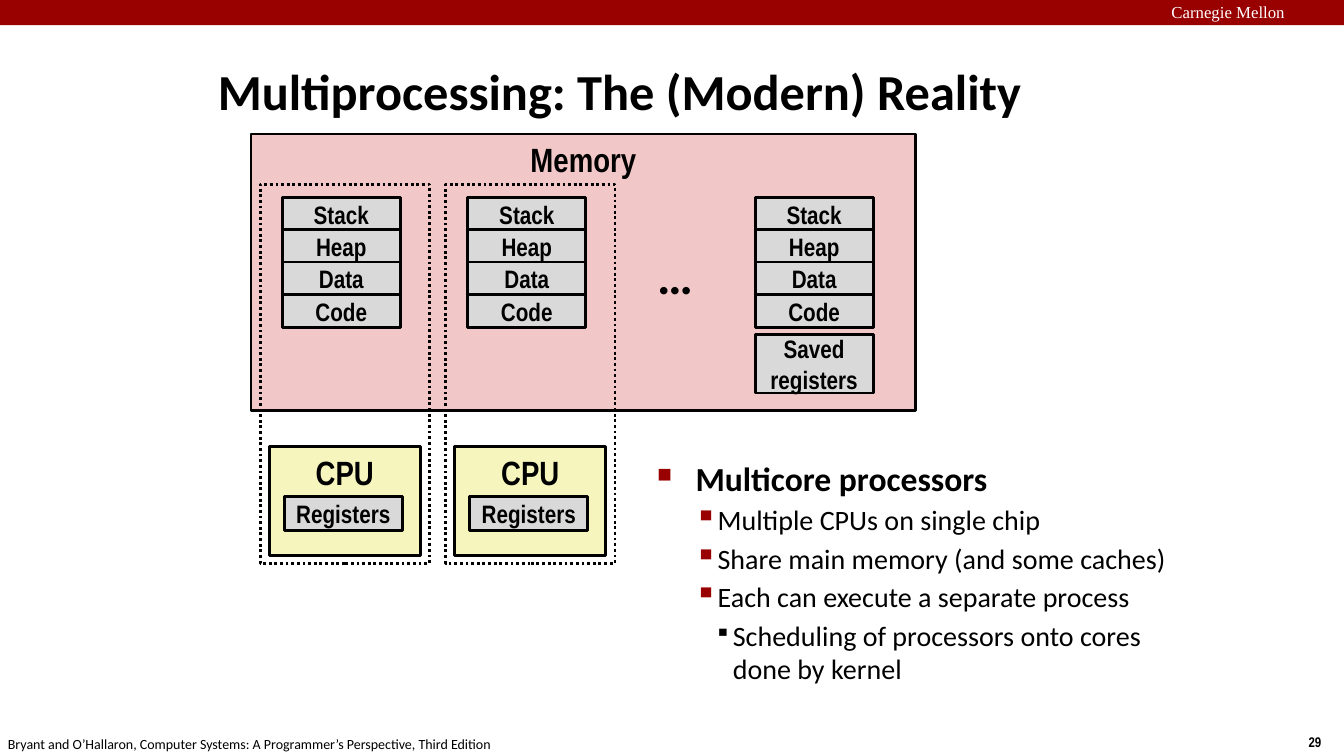
from lxml import etree
from pptx import Presentation
from pptx import util as u
from pptx.dml.color import RGBColor
from pptx.enum import dml, shapes, text
from pptx.oxml import ns

BLACK, RED, GREY = "000000", "990000", "D9D9D9"
SEGMENTS = ["Stack", "Heap", "Data", "Code"]
SEGMENT_WIDTH, SEGMENT_HEIGHT, SEGMENT_PITCH = 1.17, 0.33, 0.32
LEVELS = [
    {"margin": 0.38, "hang": 0.38, "mark": "■", "percent": 60, "color": RED, "size": 24, "bold": True},
    {"margin": 0.57, "hang": 0.2, "mark": "▪", "percent": 110, "color": RED, "size": 20, "bold": False},
    {"margin": 0.75, "hang": 0.18, "mark": "▪", "percent": 80, "color": BLACK, "size": 20, "bold": False},
]
BULLETS = [
    (0, "Multicore processors"),
    (1, "Multiple CPUs on single chip"),
    (1, "Share main memory (and some caches)"),
    (1, "Each can execute a separate process"),
    (2, "Scheduling of processors onto cores done by kernel"),
]


def rgb(color):
    return RGBColor.from_string(color)


def inches(*lengths):
    return [u.Inches(length) for length in lengths]


def format_font(font, name, size, bold=False, color=BLACK):
    for key, value in {"name": name, "size": u.Pt(size), "bold": bold}.items():
        setattr(font, key, value)
    font.color.rgb = rgb(color)


def add_rectangle(slide, box, fill=None, outline=BLACK):
    shape = slide.shapes.add_shape(shapes.MSO_SHAPE.RECTANGLE, *inches(*box))
    shape.shadow.inherit = False
    if fill:
        shape.fill.solid()
        shape.fill.fore_color.rgb = rgb(fill)
    else:
        shape.fill.background()
    if outline:
        shape.line.color.rgb = rgb(outline)
        shape.line.width = u.Pt(2)
    else:
        shape.line.fill.background()
    return shape


def add_block(slide, box, label, fill=GREY, size=18, anchor=text.MSO_ANCHOR.MIDDLE):
    shape = add_rectangle(slide, box, fill)
    shape.text_frame.word_wrap = True
    shape.text_frame.vertical_anchor = anchor
    paragraph = shape.text_frame.paragraphs[0]
    paragraph.text = label
    paragraph.alignment = text.PP_ALIGN.CENTER
    format_font(paragraph.font, "Arial Narrow", size, True)


def add_label(slide, box, label, wrap=False, **font):
    frame = slide.shapes.add_textbox(*inches(*box)).text_frame
    frame.word_wrap = wrap
    paragraph = frame.paragraphs[0]
    paragraph.text = label
    format_font(paragraph.font, **font)


def add_frame(slide, width, height):
    add_rectangle(slide, (0, 0, width, 0.25), RED, None)
    add_label(slide, (width - 1.81, -0.03, 1.91, 0.3), "Carnegie Mellon", True,
              name="Times New Roman", size=12, color="FFFFFF")
    add_label(slide, (width - 0.45, height - 0.27, 0.34, 0.27), "29",
              name="Arial Narrow", size=10, bold=True)
    add_label(slide, (-0.02, height - 0.25, 5.08, 0.27),
              "Bryant and O’Hallaron, Computer Systems: A Programmer’s Perspective, Third Edition",
              name="Calibri", size=10)


def add_title(slide, box):
    title = slide.shapes.title
    title.left, title.top, title.width, title.height = inches(*box)
    title.text_frame.vertical_anchor = text.MSO_ANCHOR.MIDDLE
    paragraph = title.text_frame.paragraphs[0]
    paragraph.text = "Multiprocessing: The (Modern) Reality"
    paragraph.alignment = text.PP_ALIGN.LEFT
    format_font(paragraph.font, "Calibri", 36, True)


def add_segments(slide, left, top):
    for row, label in enumerate(SEGMENTS):
        add_block(slide, (left, top + row * SEGMENT_PITCH, SEGMENT_WIDTH, SEGMENT_HEIGHT), label)


def add_active_process(slide, box):
    left, top, width, height = box
    add_segments(slide, left + 0.22, top + 0.13)
    add_block(slide, (left + 0.09, top + 2.6, 1.5, 1.08), "CPU", "F6F5BD", 24, text.MSO_ANCHOR.TOP)
    add_block(slide, (left + 0.24, top + 3.1, SEGMENT_WIDTH, SEGMENT_HEIGHT), "Registers")
    border = add_rectangle(slide, box)
    border.line.dash_style = dml.MSO_LINE.ROUND_DOT


def add_memory(slide, box):
    left, top, width, height = box
    add_block(slide, box, "Memory", "F1C7C7", 24, text.MSO_ANCHOR.TOP)
    for column in range(2):
        add_active_process(slide, (left + 0.09 + column * 1.84, top + 0.5, 1.68, 3.76))
    add_label(slide, (left + 3.93, top + 1.04, 0.56, 0.71), "…", name="Calibri", size=36, bold=True)
    add_segments(slide, left + 5, top + 0.63)
    add_block(slide, (left + 5, top + 1.99, SEGMENT_WIDTH, 0.58), "Saved registers")


def add_bullet(paragraph, level):
    properties = paragraph._p.get_or_add_pPr()
    properties.set("marL", str(u.Inches(level["margin"])))
    properties.set("indent", str(-u.Inches(level["hang"])))
    color = etree.SubElement(properties, ns.qn("a:buClr"))
    etree.SubElement(color, ns.qn("a:srgbClr"), val=level["color"])
    etree.SubElement(properties, ns.qn("a:buSzPct"), val=str(level["percent"] * 1000))
    etree.SubElement(properties, ns.qn("a:buChar"), char=level["mark"])


def add_bullets(slide, box):
    frame = slide.shapes.add_textbox(*inches(*box)).text_frame
    frame.word_wrap = True
    for index, (depth, words) in enumerate(BULLETS):
        paragraph = frame.add_paragraph() if index else frame.paragraphs[0]
        paragraph.text = words
        paragraph.level = depth
        level = LEVELS[depth]
        add_bullet(paragraph, level)
        paragraph.space_before = u.Pt(3.5 if index else 0)
        format_font(paragraph.font, "Calibri", level["size"], level["bold"])


def main():
    width, height = 13.33, 7.5
    presentation = Presentation()
    presentation.slide_width, presentation.slide_height = inches(width, height)
    slide = presentation.slides.add_slide(presentation.slide_layouts[5])
    add_frame(slide, width, height)
    add_title(slide, (2.06, 0.48, 9.28, 0.83))
    add_memory(slide, (2.49, 1.33, 6.59, 2.74))
    add_bullets(slide, (6.42, 4.49, 5.42, 2.92))
    presentation.save("out.pptx")


if __name__ == "__main__":
    main()
